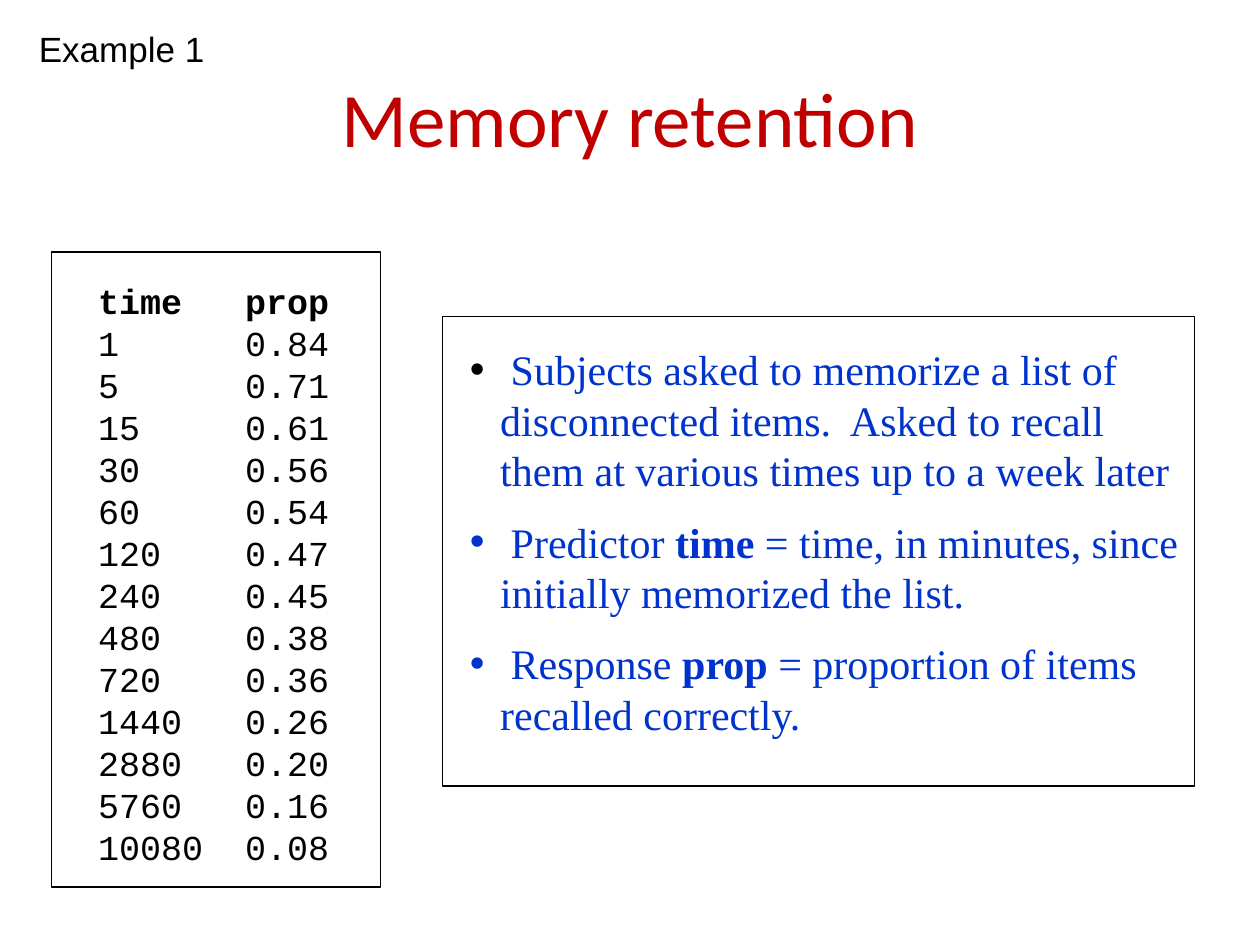
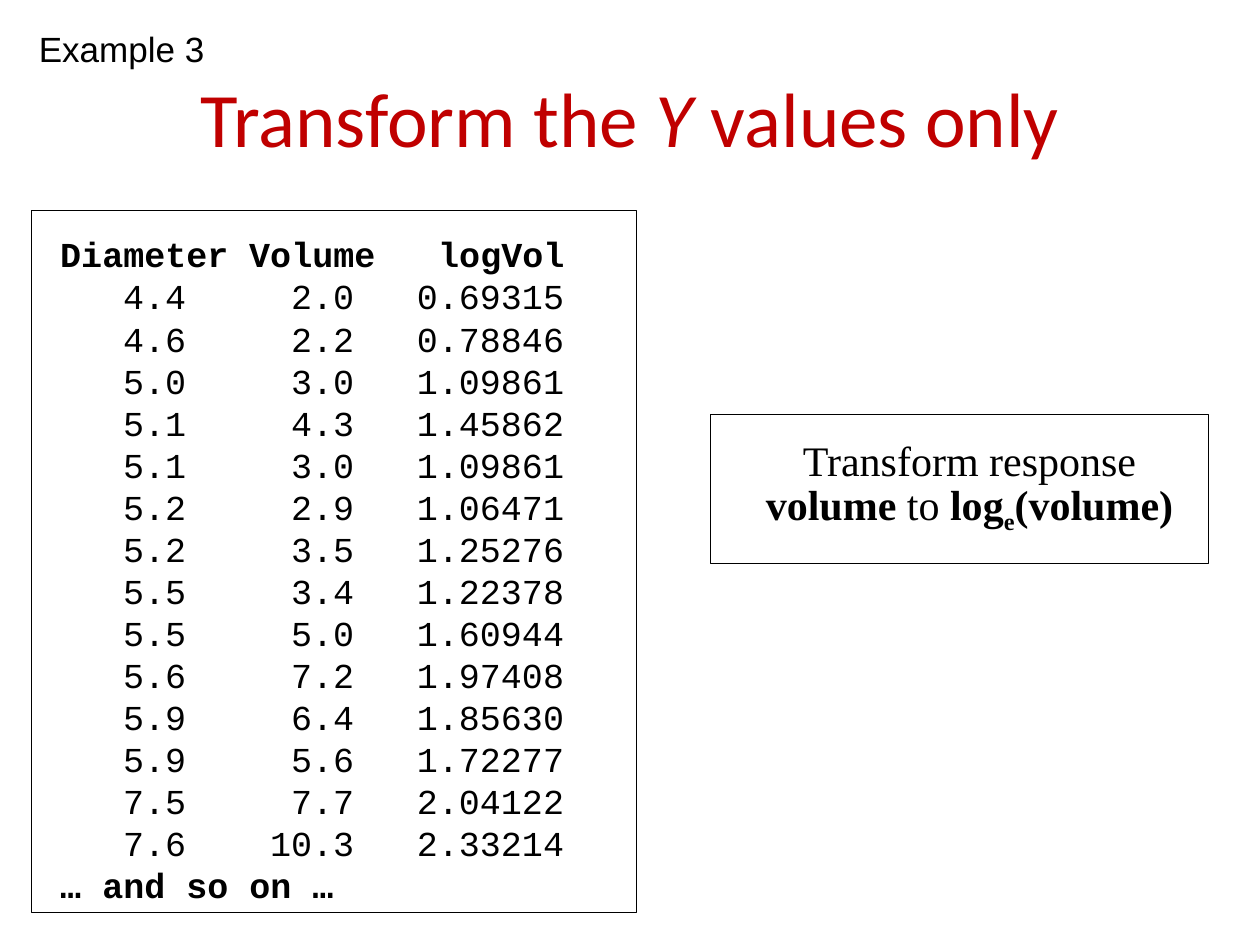
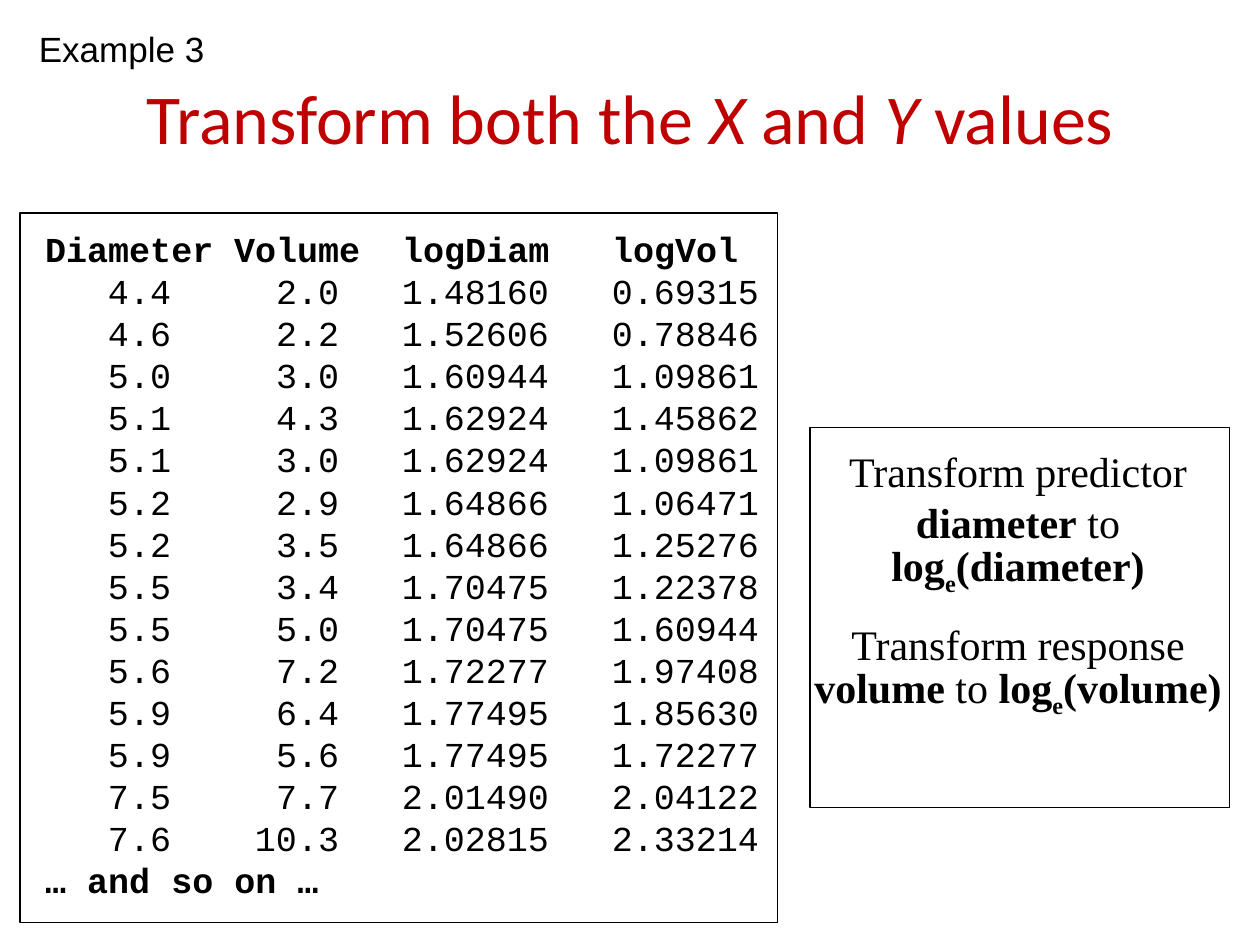
from dataclasses import dataclass
from math import log

from lxml.etree import SubElement
from pptx import Presentation
from pptx.dml.color import RGBColor
from pptx.enum.shapes import MSO_SHAPE
from pptx.enum.text import MSO_AUTO_SIZE, PP_ALIGN
from pptx.oxml.ns import qn
from pptx.util import Inches, Pt


@dataclass(frozen=True)
class Theme:
    title_font: str = "Calibri"
    label_font: str = "Arial"
    data_font: str = "Courier New"
    body_font: str = "Times New Roman"
    title_color: str = "C00000"
    text_color: str = "000000"
    accent: str = "0033CC"
    title_size: int = 44
    small_title_size: int = 40
    label_size: int = 20
    data_size: int = 20
    body_size: int = 24
    leading: float = 1.2
    para_gap: float = 0.5
    line_width: float = 0.75
    hanging: float = 0.24


class Deck:
    TITLE_AND_BODY, TITLE_ONLY = 1, 5

    def __init__(self, theme):
        self.t = theme
        self.prs = Presentation()
        self.prs.slide_width = Inches(10)
        self.prs.slide_height = Inches(7.5)
        self.s = None

    def slide(self, label, title, size=None, layout=TITLE_ONLY):
        t = self.t
        self.s = self.prs.slides.add_slide(self.prs.slide_layouts[layout])
        p = self.s.shapes.title.text_frame.paragraphs[0]
        p.alignment = PP_ALIGN.CENTER
        self.runs(p, title, t.title_font, size or t.title_size, t.title_color)
        tf = self.textbox(0.21, 0.17, 1.69, 0.43)
        self.paragraph(tf, 0, [(label,)], t.label_font, t.label_size)

    def runs(self, p, parts, font, size, color):
        for text, *styles in parts:
            r = p.add_run()
            r.text = text
            f = r.font
            f.name, f.size = font, Pt(size)
            f.bold, f.italic = "b" in styles, "i" in styles
            f.color.rgb = RGBColor.from_string(self.t.accent if "accent" in styles else color)
            if "sub" in styles:
                f._element.set("baseline", "-25000")

    def paragraph(self, tf, i, parts, font, size, gap=0):
        p = tf.add_paragraph() if i else tf.paragraphs[0]
        p.line_spacing = Pt(size * self.t.leading)
        p.space_before = Pt(size * gap if i else 0)
        self.runs(p, parts, font, size, self.t.text_color)
        return p

    def textbox(self, x, y, w, h):
        tf = self.s.shapes.add_textbox(Inches(x), Inches(y), Inches(w), Inches(h)).text_frame
        tf.word_wrap = True
        tf.auto_size = MSO_AUTO_SIZE.SHAPE_TO_FIT_TEXT
        return tf

    def frame(self, x, y, w, h):
        sp = self.s.shapes.add_shape(MSO_SHAPE.RECTANGLE, Inches(x), Inches(y), Inches(w), Inches(h))
        sp.shadow.inherit = False
        sp.fill.background()
        sp.line.color.rgb = RGBColor.from_string(self.t.text_color)
        sp.line.width = Pt(self.t.line_width)

    def listing(self, box, header, rows, header_tabs, row_tabs, footer=None):
        t = self.t
        tf = self.textbox(*box)
        lines = [(header, header_tabs, "b")] + [(row, row_tabs, "") for row in rows]
        if footer:
            lines.append((footer, [], "b"))
        for i, (text, tabs, style) in enumerate(lines):
            p = self.paragraph(tf, i, [(text, style)], t.data_font, t.data_size)
            self.tab_stops(p, tabs)

    def tab_stops(self, p, tabs):
        if not tabs:
            return
        tab_list = SubElement(p._p.get_or_add_pPr(), qn("a:tabLst"))
        char_width = self.t.data_size * 0.6
        for column, align in tabs:
            SubElement(tab_list, qn("a:tab"), pos=str(int(Pt(column * char_width))), algn=align)

    def bullets(self, box, items):
        t = self.t
        sp = self.s.placeholders[1]
        sp.left, sp.top, sp.width, sp.height = map(Inches, box)
        tf = sp.text_frame
        tf.word_wrap = True
        tf.auto_size = MSO_AUTO_SIZE.SHAPE_TO_FIT_TEXT
        for i, parts in enumerate(items):
            p = self.paragraph(tf, i, parts, t.body_font, t.body_size, t.para_gap)
            pPr = p._p.get_or_add_pPr()
            pPr.set("marL", str(Inches(t.hanging)))
            pPr.set("indent", str(-Inches(t.hanging)))

    def note(self, box, items):
        t = self.t
        tf = self.textbox(*box)
        for i, parts in enumerate(items):
            p = self.paragraph(tf, i, parts, t.body_font, t.body_size, t.para_gap)
            p.alignment = PP_ALIGN.CENTER


def transform(role, name):
    return [(f"Transform {role} ",), (name, "b"), (" to ",), ("log", "b"),
            ("e", "b", "sub"), (f"({name})", "b")]


RETENTION = [(1, 0.84), (5, 0.71), (15, 0.61), (30, 0.56), (60, 0.54), (120, 0.47),
             (240, 0.45), (480, 0.38), (720, 0.36), (1440, 0.26), (2880, 0.20),
             (5760, 0.16), (10080, 0.08)]
TREES = [(4.4, 2.0), (4.6, 2.2), (5.0, 3.0), (5.1, 4.3), (5.1, 3.0), (5.2, 2.9),
         (5.2, 3.5), (5.5, 3.4), (5.5, 5.0), (5.6, 7.2), (5.9, 6.4), (5.9, 5.6),
         (7.5, 7.7), (7.6, 10.3)]
MORE = "… and so on …"

theme = Theme()
deck = Deck(theme)

deck.slide("Example 1", [("Memory retention",)], layout=Deck.TITLE_AND_BODY)
deck.listing((0.68, 2.17, 2.24, 4.77), "time\tprop",
             [f"{time}\t{prop:.2f}" for time, prop in RETENTION],
             [(7, "l")], [(7, "l")])
deck.bullets((3.63, 2.68, 5.88, 3.33), [
    [(" ",), ("Subjects asked to memorize a list of disconnected items.  "
              "Asked to recall them at various times up to a week later", "accent")],
    [(" Predictor ", "accent"), ("time", "b", "accent"),
     (" = time, in minutes, since initially memorized the list.", "accent")],
    [(" Response ", "accent"), ("prop", "b", "accent"),
     (" = proportion of items recalled correctly.", "accent")],
])
deck.frame(0.41, 2, 2.61, 5.04)
deck.frame(3.51, 2.51, 5.97, 3.73)

deck.slide("Example 3", [("Transform the ",), ("Y", "i"), (" values only",)])
deck.listing((0.38, 1.8, 4.6, 5.43), "Diameter\tVolume\tlogVol",
             [f"\t{d:.1f}\t{v:.1f}\t{log(v):.5f}" for d, v in TREES],
             [(9, "l"), (18, "l")], [(6, "r"), (14, "r"), (24, "r")], MORE)
deck.frame(0.25, 1.67, 4.8, 5.57)
deck.frame(5.64, 3.29, 3.95, 1.18)
deck.note((5.91, 3.4, 3.57, 0.9), [transform("response", "volume")])

deck.slide("Example 3", [("Transform both the ",), ("X", "i"), (" and ",), ("Y", "i"), (" values",)],
           size=theme.small_title_size)
deck.listing((0.26, 1.76, 5.92, 5.43), "Diameter\tVolume\tlogDiam\tlogVol",
             [f"\t{d:.1f}\t{v:.1f}\t{log(d):.5f}\t{log(v):.5f}" for d, v in TREES],
             [(9, "l"), (17, "l"), (27, "l")],
             [(6, "r"), (14, "r"), (24, "r"), (34, "r")], MORE)
deck.note((6.36, 3.49, 3.44, 2.7),
          [transform("predictor", "diameter"), transform("response", "volume")])
deck.frame(0.16, 1.69, 6.01, 5.63)
deck.frame(6.43, 3.39, 3.33, 3.02)

deck.prs.save("out.pptx")
